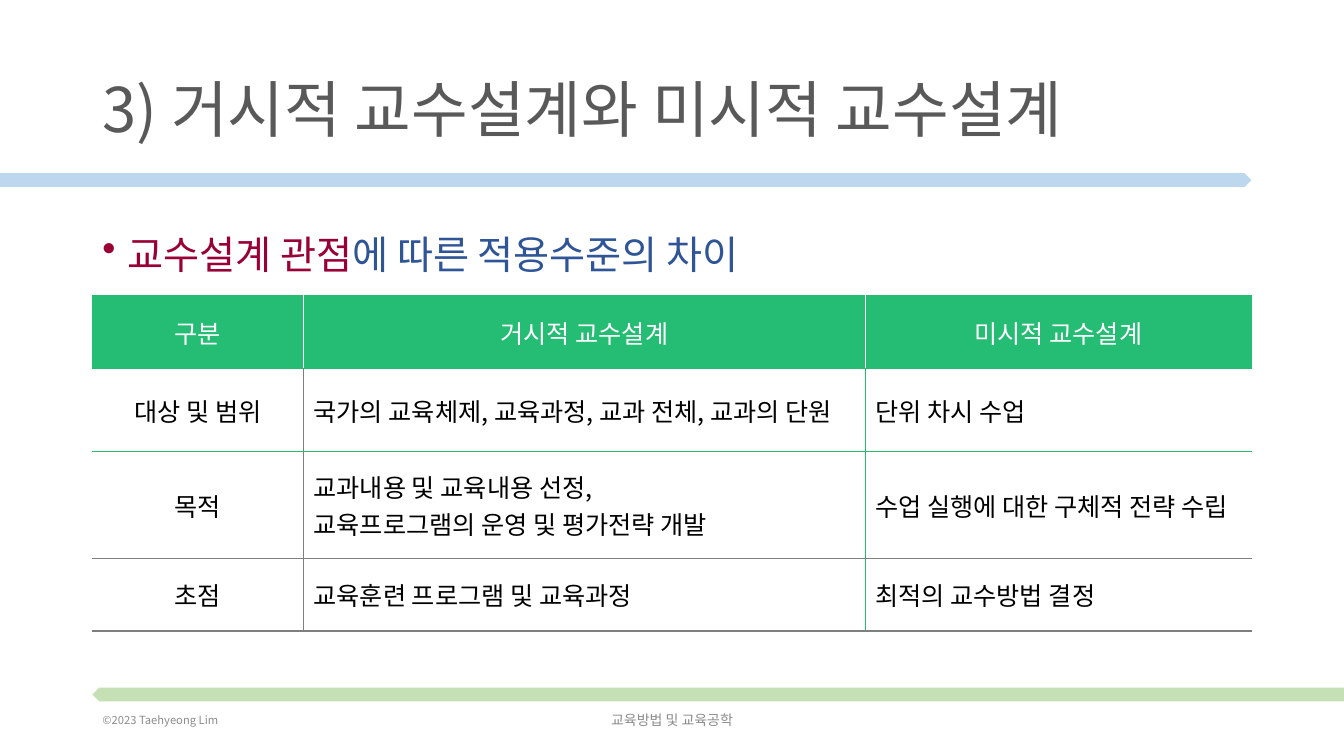
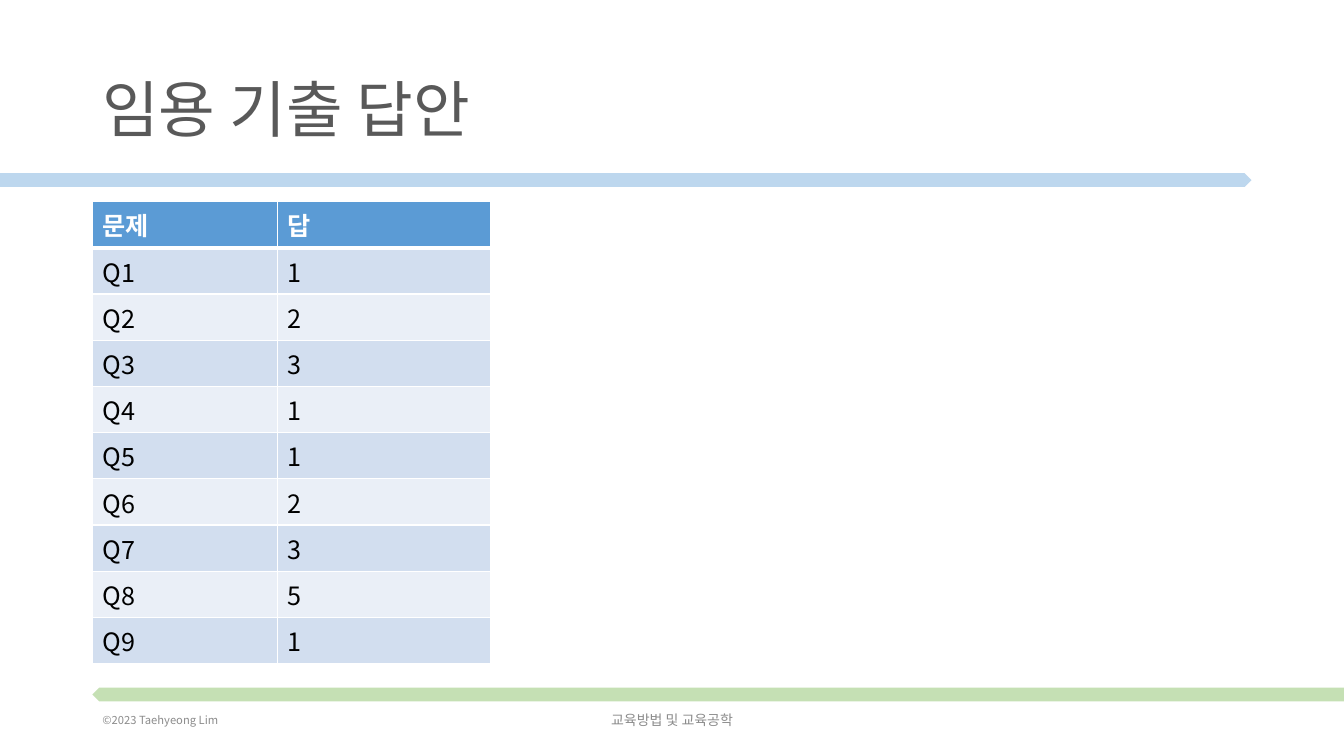
from lxml import etree
from pptx import Presentation
from pptx.dml.color import RGBColor
from pptx.enum.shapes import MSO_SHAPE
from pptx.enum.text import MSO_ANCHOR, PP_ALIGN
from pptx.oxml.ns import qn
from pptx.util import Pt

PX = 9525
FONT = "Noto Sans CJK KR"
PENTAGON = MSO_SHAPE.PENTAGON
LEFT, CENTER = PP_ALIGN.LEFT, PP_ALIGN.CENTER
TOP, MIDDLE = MSO_ANCHOR.TOP, MSO_ANCHOR.MIDDLE

COLORS = {
    "title": "595959", "footer": "8C8C8C", "black": "000000", "white": "FFFFFF",
    "top_band": "BDD7EE", "bottom_band": "C5E0B4",
    "crimson": "990035", "navy": "2F5597", "green": "25BC74", "rule": "7F7F7F",
    "blue": "5B9BD5", "dark_stripe": "D2DEEF", "light_stripe": "EAEFF7",
}

WIDTH, HEIGHT = 1280, 720
MARGIN = 88
CONTENT = WIDTH - 2 * MARGIN
BAND_WIDTH, BAND_HEIGHT = WIDTH - MARGIN, 13
BANDS = [(0, 165, "top_band", 0), (MARGIN, 655, "bottom_band", 180)]
FOOTERS = [
    ("©2023 Taehyeong Lim", MARGIN, 288, 8, LEFT),
    ("교육방법 및 교육공학", 424, 432, 10, CENTER),
]

COMPARISON = {
    "title": "3) 거시적 교수설계와 미시적 교수설계",
    "lead": [("교수설계 관점", "crimson"), ("에 따른 적용수준의 차이", "navy")],
    "top": 282,
    "columns": [201, 535, 368],
    "heights": [69, 79, 102, 69],
    "rows": [
        ["구분", "거시적 교수설계", "미시적 교수설계"],
        ["대상 및 범위", "국가의 교육체제, 교육과정, 교과 전체, 교과의 단원", "단위 차시 수업"],
        ["목적", "교과내용 및 교육내용 선정,\n교육프로그램의 운영 및 평가전략 개발",
         "수업 실행에 대한 구체적 전략 수립"],
        ["초점", "교육훈련 프로그램 및 교육과정", "최적의 교수방법 결정"],
    ],
    "header_fill": "green", "header_bold": False, "stripes": [None],
    "anchor": MIDDLE, "centered": True,
    "across": [("green", 1), ("green", 1), ("green", 1), ("rule", 1), ("rule", 1)],
    "header_down": [None, ("white", 1), ("white", 1), None],
    "down": [None, ("rule", 1), ("green", 1), None],
}

ANSWERS = [1, 2, 3, 1, 1, 2, 3, 5, 1]
ANSWER_KEY = {
    "title": "임용 기출 답안",
    "lead": [],
    "top": 192,
    "columns": [176, 203],
    "heights": [44] * (len(ANSWERS) + 1),
    "rows": [["문제", "답"]] + [
        [f"Q{number}", str(answer)] for number, answer in enumerate(ANSWERS, 1)],
    "header_fill": "blue", "header_bold": True,
    "stripes": ["dark_stripe", "light_stripe"],
    "anchor": TOP, "centered": False,
    "across": [("white", 1), ("white", 3)] + [("white", 1)] * len(ANSWERS),
    "header_down": [("white", 1)] * 3,
    "down": [("white", 1)] * 3,
}


def rgb(name):
    return RGBColor.from_string(COLORS[name])


def style(para, size, color, align=LEFT, bold=False):
    para.alignment = align
    font = para.font
    font.name, font.size, font.bold = FONT, Pt(size), bold
    font.color.rgb = rgb(color)
    east_asian = etree.Element(qn("a:ea"), typeface=FONT)
    font._element.find(qn("a:latin")).addnext(east_asian)


def add_text(page, place, text, size, color, align=LEFT, anchor=MIDDLE):
    box = page.shapes.add_textbox(*(value * PX for value in place))
    frame = box.text_frame
    frame.word_wrap = True
    frame.vertical_anchor = anchor
    para = frame.paragraphs[0]
    para.text = text
    style(para, size, color, align)
    return para


def add_frame(page, title):
    for left, top, color, rotation in BANDS:
        band = page.shapes.add_shape(
            PENTAGON, left * PX, top * PX, BAND_WIDTH * PX, BAND_HEIGHT * PX)
        band.shadow.inherit = False
        band.fill.solid()
        band.fill.fore_color.rgb = rgb(color)
        band.line.fill.background()
        band.rotation = rotation
    para = add_text(page, (MARGIN, 38, CONTENT, 139), title, 44, "title")
    para.line_spacing = 0.9
    for text, left, width, size, align in FOOTERS:
        add_text(page, (left, 667, width, 38), text, size, "footer", align)


def add_lead(page, spans):
    para = add_text(page, (MARGIN, 192, CONTENT, 163), "", 28, spans[0][1], anchor=TOP)
    para.line_spacing = 1.5
    para.space_after = Pt(12)
    properties = para._p.get_or_add_pPr()
    properties.set("marL", str(24 * PX))
    properties.set("indent", str(-24 * PX))
    bullet = etree.Element(qn("a:buChar"), char="•")
    properties.find(qn("a:defRPr")).addprevious(bullet)
    for text, color in spans:
        span = para.add_run()
        span.text = text
        span.font.color.rgb = rgb(color)


def set_border(cell, side, border):
    properties = cell._tc.get_or_add_tcPr()
    line = etree.SubElement(properties, qn(f"a:ln{side}"))
    if border is None:
        line.set("w", "0")
        etree.SubElement(line, qn("a:noFill"))
        return
    color, width = border
    line.set("w", str(Pt(width)))
    fill = etree.SubElement(line, qn("a:solidFill"))
    etree.SubElement(fill, qn("a:srgbClr"), val=COLORS[color])


def fill_cell(cell, text, row, column, data):
    header = row == 0
    down = data["header_down" if header else "down"]
    across = data["across"]
    for side, border in zip("LRTB", (
            down[column], down[column + 1], across[row], across[row + 1])):
        set_border(cell, side, border)
    stripes = data["stripes"]
    fill = data["header_fill"] if header else stripes[(row - 1) % len(stripes)]
    if fill:
        cell.fill.solid()
        cell.fill.fore_color.rgb = rgb(fill)
    else:
        cell.fill.background()
    cell.vertical_anchor = data["anchor"]
    cell.text = text
    align = CENTER if data["centered"] and (header or column == 0) else LEFT
    for para in cell.text_frame.paragraphs:
        style(para, 18, "white" if header else "black", align,
              header and data["header_bold"])


def add_grid(page, data):
    rows, columns, heights = data["rows"], data["columns"], data["heights"]
    table = page.shapes.add_table(
        len(rows), len(columns), MARGIN * PX, data["top"] * PX,
        sum(columns) * PX, sum(heights) * PX).table
    table.first_row = table.horz_banding = False
    for column, width in zip(table.columns, columns):
        column.width = width * PX
    for row, height in zip(table.rows, heights):
        row.height = height * PX
    for row, texts in enumerate(rows):
        for column, text in enumerate(texts):
            fill_cell(table.cell(row, column), text, row, column, data)


def main():
    """Build the instructional design comparison and the answer key."""
    deck = Presentation()
    deck.slide_width, deck.slide_height = WIDTH * PX, HEIGHT * PX
    for data in (COMPARISON, ANSWER_KEY):
        page = deck.slides.add_slide(deck.slide_layouts[6])
        add_frame(page, data["title"])
        if data["lead"]:
            add_lead(page, data["lead"])
        add_grid(page, data)
    deck.save("out.pptx")


if __name__ == "__main__":
    main()
